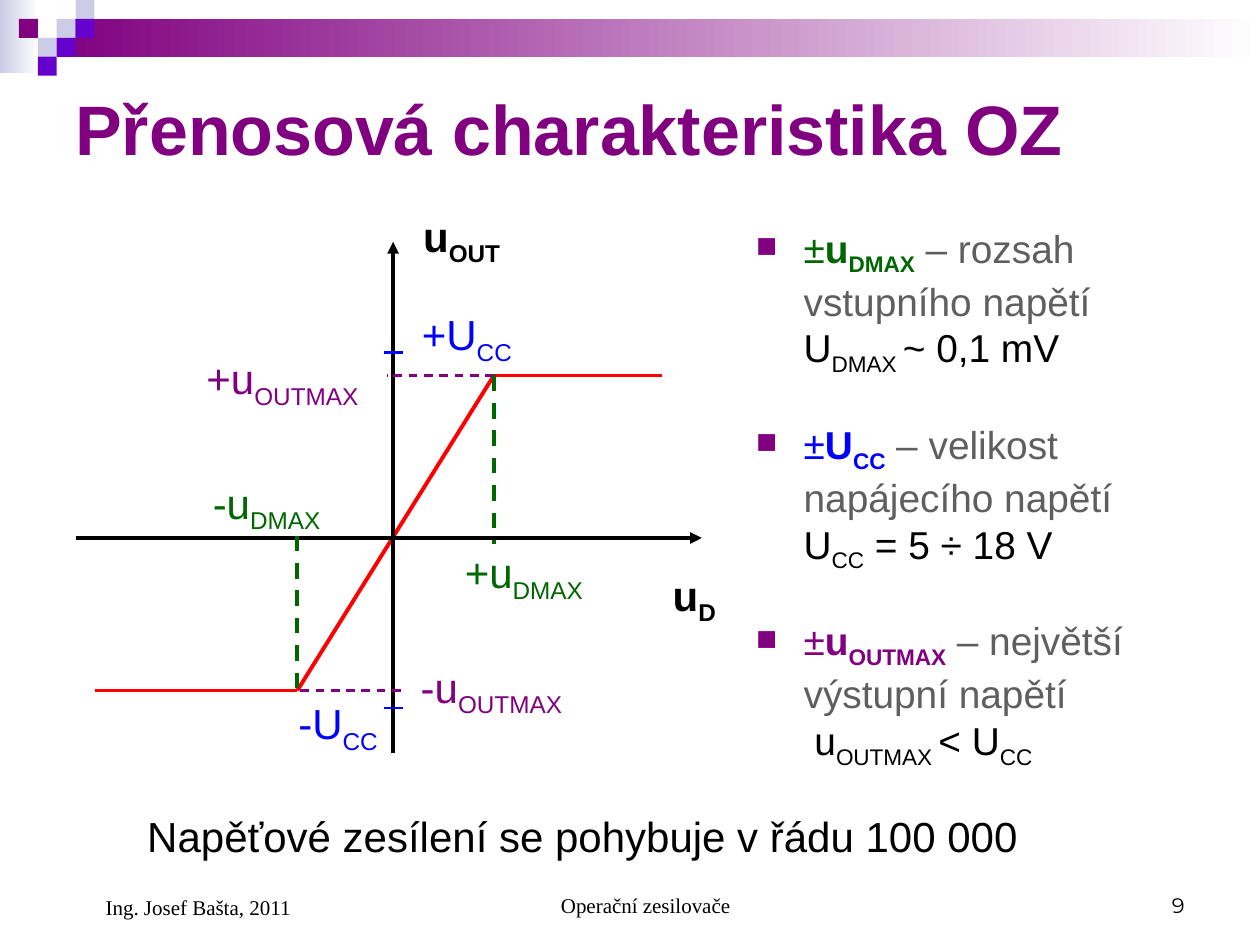
from lxml import etree
from pptx import Presentation
from pptx.dml.color import RGBColor
from pptx.enum.dml import MSO_LINE
from pptx.enum.shapes import MSO_CONNECTOR as CONN, MSO_SHAPE as SHAPE
from pptx.enum.text import MSO_ANCHOR as ANCHOR, PP_ALIGN as ALIGN
from pptx.oxml.ns import qn
from pptx.util import Inches, Pt

PURPLE, VIOLET, LILAC = "800080", "6600CC", "CCCCE6"
GREEN, BLUE, RED, GRAY, BLACK, WHITE = "006600", "0000FF", "FF0000", "5F5F5F", "000000", "FFFFFF"

BANDS = [((0, 0, 0.31, 0.58), LILAC), ((0.45, 0.15, 9.55, 0.3), PURPLE)]
TILE = 0.15
TILES = [(3, 1, LILAC), (4, 0, LILAC), (4, 1, VIOLET), (2, 2, LILAC),
         (1, 1, PURPLE), (3, 2, VIOLET), (2, 3, VIOLET)]

X_AXIS_Y, Y_AXIS_X = 4.27, 3.12
D_NEG, D_POS = 2.36, 3.92
OUT_TOP, OUT_BOTTOM = 2.98, 5.48
CC_LEVELS = (2.8, 5.62)

CURVE = [(0.75, OUT_BOTTOM), (D_NEG, OUT_BOTTOM), (D_POS, OUT_TOP), (5.25, OUT_TOP)]
LINES = [(a, b, RED, 2.25, False, False) for a, b in zip(CURVE, CURVE[1:])] + [
    ((0.6, X_AXIS_Y), (5.57, X_AXIS_Y), BLACK, 2.25, False, True),
    ((Y_AXIS_X, 5.98), (Y_AXIS_X, 1.92), BLACK, 2.25, False, True),
    ((3.18, OUT_BOTTOM), (D_NEG, OUT_BOTTOM), PURPLE, 1.25, True, False),
    ((D_POS, OUT_TOP), (3.07, OUT_TOP), PURPLE, 1.25, True, False),
    ((D_POS, OUT_TOP), (D_POS, 4.32), GREEN, 2.25, True, False),
    ((D_NEG, 4.25), (D_NEG, OUT_BOTTOM), GREEN, 2.25, True, False),
] + [((3.05, y), (3.2, y), BLUE, 1.5, False, False) for y in CC_LEVELS]

LABELS = [
    ("u", "OUT", 3.26, 1.62, 1.11, BLACK, True),
    ("u", "D", 5.24, 4.47, 0.66, BLACK, True),
    ("+u", "OUTMAX", 1.54, 2.75, 1.65, PURPLE, False),
    ("-u", "OUTMAX", 3.24, 5.2, 1.65, PURPLE, False),
    ("+U", "CC", 3.25, 2.4, 1, BLUE, False),
    ("-U", "CC", 2.27, 5.49, 1, BLUE, False),
    ("+u", "DMAX", 3.59, 4.29, 1.38, GREEN, False),
    ("-u", "DMAX", 1.59, 3.74, 1.38, GREEN, False),
]

BULLETS = [
    (GREEN, "u", "DMAX", " – rozsah vstupního napětí",
     [("U", False), ("DMAX ", True), ("~ 0,1 mV", False)]),
    (BLUE, "U", "CC", " – velikost napájecího napětí",
     [("U", False), ("CC", True), (" = 5 ÷ 18 V", False)]),
    (PURPLE, "u", "OUTMAX", " – největší výstupní napětí",
     [(" u", False), ("OUTMAX ", True), ("< U", False), ("CC", True)]),
]

TEXTS = [
    ("Přenosová charakteristika OZ", (0.5, 0.5, 9, 1.03), 40, "Arial", PURPLE, True, ANCHOR.MIDDLE, ALIGN.LEFT, 0),
    ("Napěťové zesílení se pohybuje v řádu 100 000", (1.07, 6.38, 7.95, 0.5), 24, "Arial", BLACK, False,
     ANCHOR.TOP, ALIGN.LEFT, 0),
    ("Operační zesilovače", (3.42, 6.83, 3.17, 0.5), 12, "Times New Roman", BLACK, False,
     ANCHOR.BOTTOM, ALIGN.CENTER, 0.24),
    ("9", (7.17, 6.83, 2.33, 0.5), 12, "Montserrat", BLACK, False, ANCHOR.BOTTOM, ALIGN.RIGHT, 0),
    ("Ing. Josef Bašta, 2011", (0.5, 6.83, 2.33, 0.52), 12, "Times New Roman", BLACK, False,
     ANCHOR.BOTTOM, ALIGN.LEFT, 0.24),
]


def rgb(value):
    return RGBColor.from_string(value)


def add_rect(s, box, color, fade=False):
    sp = s.shapes.add_shape(SHAPE.RECTANGLE, *map(Inches, box))
    sp.shadow.inherit = False
    sp.line.fill.background()
    if fade:
        sp.fill.gradient()
        sp.fill.gradient_angle = 0
        for stop, value in zip(sp.fill.gradient_stops, (color, WHITE)):
            stop.color.rgb = rgb(value)
    else:
        sp.fill.solid()
        sp.fill.fore_color.rgb = rgb(color)


def add_line(s, start, end, color, width, dashed, arrow):
    cx = s.shapes.add_connector(CONN.STRAIGHT, *map(Inches, start + end))
    cx.line.color.rgb = rgb(color)
    cx.line.width = Pt(width)
    if dashed:
        cx.line.dash_style = MSO_LINE.DASH
    if arrow:
        etree.SubElement(cx.line._get_or_add_ln(), qn("a:tailEnd"), type="triangle")
    etree.SubElement(cx._element.spPr, qn("a:effectLst"))


def add_frame(s, box, anchor=ANCHOR.TOP):
    tf = s.shapes.add_textbox(*map(Inches, box)).text_frame
    tf.word_wrap = True
    tf.vertical_anchor = anchor
    return tf


def set_indent(p, left, hanging=0):
    pPr = p._p.get_or_add_pPr()
    pPr.set("marL", str(Inches(left)))
    pPr.set("indent", str(-Inches(hanging)))
    return pPr


def add_run(p, text, size, color, bold=False, sub=False, font="Arial"):
    r = p.add_run()
    r.text = text
    r.font.size = Pt(size)
    r.font.name = font
    r.font.bold = bold
    r.font.color.rgb = rgb(color)
    if sub:
        r._r.get_or_add_rPr().set("baseline", "-25000")


def add_bullets(s):
    tf = add_frame(s, (5.9, 1.73, 3.63, 4.58))
    size = 22.2
    for i, (color, symbol, index, meaning, formula) in enumerate(BULLETS):
        p = tf.add_paragraph() if i else tf.paragraphs[0]
        pPr = set_indent(p, 0.38, 0.38)
        if i:
            p.space_before = Pt(25)
        bu_color = etree.SubElement(pPr, qn("a:buClr"))
        etree.SubElement(bu_color, qn("a:srgbClr"), val=PURPLE)
        etree.SubElement(pPr, qn("a:buSzPct"), val="75000")
        etree.SubElement(pPr, qn("a:buChar"), char="■")
        add_run(p, "±", size, color)
        add_run(p, symbol, size, color, bold=True)
        add_run(p, index, size, color, bold=True, sub=True)
        add_run(p, meaning, size, GRAY)
        p.add_line_break()
        for text, sub in formula:
            add_run(p, text, size, BLACK, sub=sub)


def main():
    prs = Presentation()
    prs.slide_width, prs.slide_height = Inches(10), Inches(7.5)
    s = prs.slides.add_slide(prs.slide_layouts[6])
    for box, color in BANDS:
        add_rect(s, box, color, fade=True)
    for col, row, color in TILES:
        add_rect(s, (col * TILE, row * TILE, TILE, TILE), color)
    add_bullets(s)
    for line in LINES:
        add_line(s, *line)
    for symbol, index, x, y, width, color, bold in LABELS:
        p = add_frame(s, (x, y, width, 0.56)).paragraphs[0]
        add_run(p, symbol, 24, color, bold)
        add_run(p, index, 24, color, bold, sub=True)
    for text, box, size, font, color, bold, anchor, align, indent in TEXTS:
        p = add_frame(s, box, anchor).paragraphs[0]
        p.alignment = align
        set_indent(p, indent)
        add_run(p, text, size, color, bold, font=font)
    prs.save("out.pptx")


if __name__ == "__main__":
    main()
